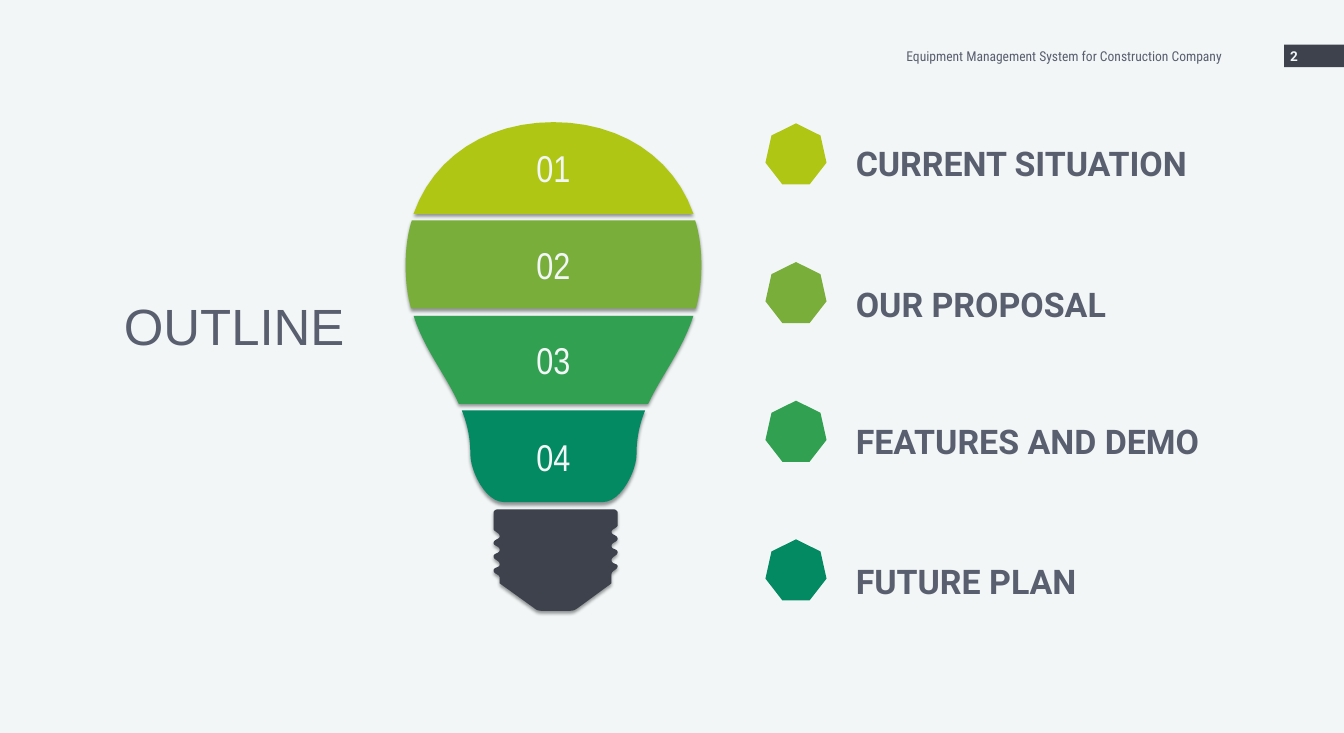
from lxml.etree import SubElement as Sub
from pptx import Presentation
from pptx.dml.color import RGBColor
from pptx.enum.shapes import MSO_SHAPE as Kind
from pptx.enum.text import MSO_ANCHOR as Anchor, MSO_AUTO_SIZE as Fit, PP_ALIGN as Align
from pptx.oxml.ns import qn
from pptx.util import Inches, Pt

PALE = RGBColor(0xF2, 0xF6, 0xF7)
DARK = RGBColor(0x3D, 0x42, 0x4D)
GREY = RGBColor(0x59, 0x5F, 0x6F)
LIME = RGBColor(0xB0, 0xC6, 0x15)
LEAF = RGBColor(0x7A, 0xAE, 0x3B)
GREEN = RGBColor(0x31, 0xA0, 0x50)
TEAL = RGBColor(0x03, 0x8A, 0x63)

BASE = [
    (10.11, 8.6), (10.11, 8.39), (10.11, 8.37, 10.08, 8.34, 10.05, 8.34), (8.14, 8.34),
    (8.11, 8.34, 8.08, 8.37, 8.08, 8.39), (8.08, 8.66), (8.08, 8.7, 8.18, 8.72, 8.18, 8.78),
    (8.18, 8.83, 8.08, 8.83, 8.08, 8.89), (8.08, 8.94, 8.18, 8.94, 8.18, 9),
    (8.18, 9.07, 8.08, 9.05, 8.08, 9.11), (8.08, 9.17, 8.18, 9.17, 8.18, 9.24),
    (8.18, 9.3, 8.08, 9.28, 8.08, 9.34), (8.08, 9.4, 8.18, 9.4, 8.18, 9.46),
    (8.18, 9.55), (8.75, 9.96), (8.78, 9.99, 8.83, 10, 8.87, 10), (9.32, 10),
    (9.37, 10, 9.41, 9.99, 9.45, 9.96), (10.01, 9.55), (10.01, 9.4),
    (10.01, 9.34, 10.11, 9.33, 10.11, 9.27), (10.11, 9.22, 10.01, 9.24, 10.01, 9.17),
    (10.01, 9.11, 10.11, 9.1, 10.11, 9.04), (10.11, 8.98, 10.01, 9, 10.01, 8.94),
    (10.01, 8.87, 10.11, 8.88, 10.11, 8.82), (10.11, 8.76, 10.01, 8.76, 10.01, 8.71),
    (10.01, 8.66, 10.11, 8.64, 10.11, 8.6),
]
BANDS = [
    (LIME, [(11.35, 3.5), (11.02, 2.56, 10.14, 2, 9.06, 2), (7.98, 2, 7.1, 2.56, 6.77, 3.5)]),
    (LEAF, [(6.64, 4.34), (6.64, 4.61, 6.67, 4.84, 6.73, 5.05), (11.39, 5.05),
            (11.45, 4.84, 11.48, 4.61, 11.48, 4.34), (11.48, 4.08, 11.45, 3.84, 11.38, 3.61),
            (6.74, 3.61), (6.67, 3.84, 6.64, 4.08, 6.64, 4.34)]),
    (GREEN, [(10.61, 6.61), (10.83, 6.14, 11.17, 5.73, 11.35, 5.17), (6.77, 5.17),
             (6.95, 5.73, 7.3, 6.14, 7.51, 6.61)]),
    (TEAL, [(7.56, 6.72), (7.65, 6.94, 7.7, 7.17, 7.7, 7.44), (7.7, 7.7, 7.94, 8.22, 8.25, 8.22),
            (9.87, 8.22), (10.17, 8.22, 10.42, 7.7, 10.42, 7.44),
            (10.42, 7.17, 10.47, 6.94, 10.56, 6.72)]),
]


def rect(x, y, r, b):
    """Return the closed outline of a box."""
    return [(x, y), (r, y), (r, b), (x, b), (x, y)]


CASE = [
    [(33.5, 49), (23.5, 49), (23.5, 34), (76.5, 34), (76.5, 49), (66.5, 49)],
    [(40.5, 49), (58.5, 49)], [(26, 49), (26, 72), (74, 72), (74, 49)],
    [(43.5, 34), (43.5, 31, 44.5, 29, 47, 29), (53, 29), (55.5, 29, 56.5, 31, 56.5, 34)],
    rect(33.5, 44, 40.5, 54.5), rect(58.5, 44, 66.5, 54.5),
]
BAGS = [
    rect(23.5, 41, 66.5, 74), [(30.5, 41), (30.5, 74)], [(58.5, 41), (58.5, 74)],
    [(38.5, 41), (38.5, 38, 40, 36, 42, 36), (47, 36), (49.5, 36, 51, 38, 51, 41)],
    [(33, 36), (33, 30.5), (76.5, 30.5), (76.5, 64), (70.5, 64)],
    [(48.5, 30.5), (48.5, 27, 50, 25.5, 52, 25.5), (58, 25.5), (60, 25.5, 61.5, 27, 61.5, 30.5)],
    [(35.5, 46), (44, 46)], [(35.5, 51), (39, 51)],
]
PLANE = [
    [(23.5, 46), (77, 23), (54, 76), (45, 55), (23.5, 46)], [(45, 55), (77, 23)],
    [(42, 65), (38, 69.5)], [(41, 59), (28, 72)], [(35.5, 58), (33.5, 60)],
]
CRATE = [
    rect(23.5, 37.5, 76.5, 45), rect(41, 52.5, 58.5, 58),
    [(28, 45), (28, 75.5), (71.5, 75.5), (71.5, 45)],
    [(32.5, 37), (38, 26), (39, 24, 41, 23, 43, 24), (64, 36)], [(48, 28), (43, 36.5)],
    [(55, 30), (62, 28), (65, 27, 67, 28, 68, 30.5), (70, 37)],
    [(38.5, 33), (40, 34)], [(41, 28.5), (42.5, 29.5)],
]
TOPICS = [
    ("CURRENT SITUATION", 2.08, LIME, CASE), ("OUR PROPOSAL", 4.4, LEAF, BAGS),
    ("FEATURES AND DEMO", 6.63, GREEN, PLANE), ("FUTURE PLAN", 8.93, TEAL, CRATE),
]


def trace(steps, count=12):
    """Turn line and curve steps into plain points."""
    dots = [steps[0]]
    for step in steps[1:]:
        if len(step) == 2:
            dots.append(step)
            continue
        knots = [dots[-1], step[:2], step[2:4], step[4:]]
        for i in range(1, count + 1):
            t = i / count
            mix = ((1 - t) ** 3, 3 * t * (1 - t) ** 2, 3 * t * t * (1 - t), t ** 3)
            dots.append(tuple(sum(m * k[a] for m, k in zip(mix, knots)) for a in (0, 1)))
    return dots


def write(frame, text, size=16, font="Roboto", color=GREY, bold=False,
          align=Align.LEFT, anchor=Anchor.TOP, space=None, wrap=True, fit=Fit.NONE):
    """Put one formatted paragraph in a text frame."""
    frame.word_wrap, frame.auto_size, frame.vertical_anchor = wrap, fit, anchor
    para = frame.paragraphs[0]
    para.alignment, para.line_spacing = align, space
    run = para.add_run()
    run.text = text
    run.font.size, run.font.name, run.font.bold = Pt(size), font, bold
    run.font.color.rgb = color


class Board:
    """Hold the slide and draw its elements."""

    def __init__(self, deck):
        self.slide = deck.slides.add_slide(deck.slide_layouts[6])
        self.slide.background.fill.solid()
        self.slide.background.fill.fore_color.rgb = PALE
        self.shapes = self.slide.shapes

    def paint(self, shape, color):
        """Give a shape a flat fill with no line."""
        shape.shadow.inherit = False
        shape.fill.solid()
        shape.fill.fore_color.rgb = color
        shape.line.fill.background()
        return shape

    def block(self, kind, x, y, w, h, color, home=None):
        """Draw a preset shape."""
        box = map(Inches, (x, y, w, h))
        return self.paint((home or self.shapes).add_shape(kind, *box), color)

    def label(self, text, x, y, w, h, **form):
        """Draw a text box."""
        box = self.shapes.add_textbox(*map(Inches, (x, y, w, h)))
        write(box.text_frame, text, **form)

    def outline(self, home, paths, shut):
        """Build one freeform from several paths."""
        pen = None
        for steps in paths:
            dots = [(Inches(x), Inches(y)) for x, y in trace(steps)]
            if pen:
                pen.move_to(*dots[0])
            else:
                pen = home.build_freeform(*dots[0])
            pen.add_line_segments(dots[1:], close=shut)
        return pen.convert_to_shape()

    def piece(self, steps, color, text=None):
        """Draw a shaded piece of the bulb."""
        shape = self.paint(self.outline(self.shapes, [steps], True), color)
        glow = shape.element.spPr.find(qn("a:effectLst"))
        shade = Sub(glow, qn("a:outerShdw"), blurRad=str(Pt(4)), dist=str(Pt(3)),
                    dir="5400000", algn="t", rotWithShape="0")
        Sub(Sub(shade, qn("a:srgbClr"), val="000000"), qn("a:alpha"), val="40000")
        if text:
            frame = shape.text_frame
            frame.margin_left = frame.margin_right = Inches(0.13)
            frame.margin_top = frame.margin_bottom = Inches(0.07)
            write(frame, text, size=44, font="Arial Narrow", color=PALE,
                  align=Align.CENTER, anchor=Anchor.MIDDLE)

    def badge(self, x, y, color, icon):
        """Draw a heptagon with a line icon on it."""
        home = self.shapes.add_group_shape().shapes
        self.block(Kind.HEPTAGON, x, y, 1, 1, color, home)
        paths = [[tuple((x, y)[i % 2] + v / 100 for i, v in enumerate(step)) for step in steps]
                 for steps in icon]
        shape = self.outline(home, paths, False)
        shape.shadow.inherit = False
        shape.fill.background()
        shape.line.color.rgb = PALE
        shape.line.width = Pt(1.75)


def main():
    """Build and save the slide."""
    deck = Presentation()
    deck.slide_width, deck.slide_height = Inches(22), Inches(12)
    board = Board(deck)
    board.block(Kind.RECTANGLE, 21.02, 0.73, 1, 0.37, DARK)
    board.piece(BASE, DARK)
    for i, (color, steps) in enumerate(BANDS, 1):
        board.piece(steps, color, f"{i:02}")
    for i, (text, y, color, icon) in enumerate(TOPICS):
        board.label(text, 13.91, y, 6.13, 0.89, size=40, bold=True, space=1.3, fit=Fit.SHAPE_TO_FIT_TEXT)
        board.badge(12.53, 2.02 + 2.27 * i, color, icon)
    board.label("OUTLINE", 1.93, 4.78, 3.85, 1.11, size=60, font="Arial",
                wrap=False, fit=Fit.SHAPE_TO_FIT_TEXT)
    board.label("Equipment Management System for Construction Company", 12.68, 0.6, 7.42, 0.64,
                font="Roboto Condensed", align=Align.RIGHT, anchor=Anchor.MIDDLE)
    board.label("2", 21.02, 0.6, 1, 0.64, color=PALE, bold=True, anchor=Anchor.MIDDLE)
    deck.save("out.pptx")


if __name__ == "__main__":
    main()
